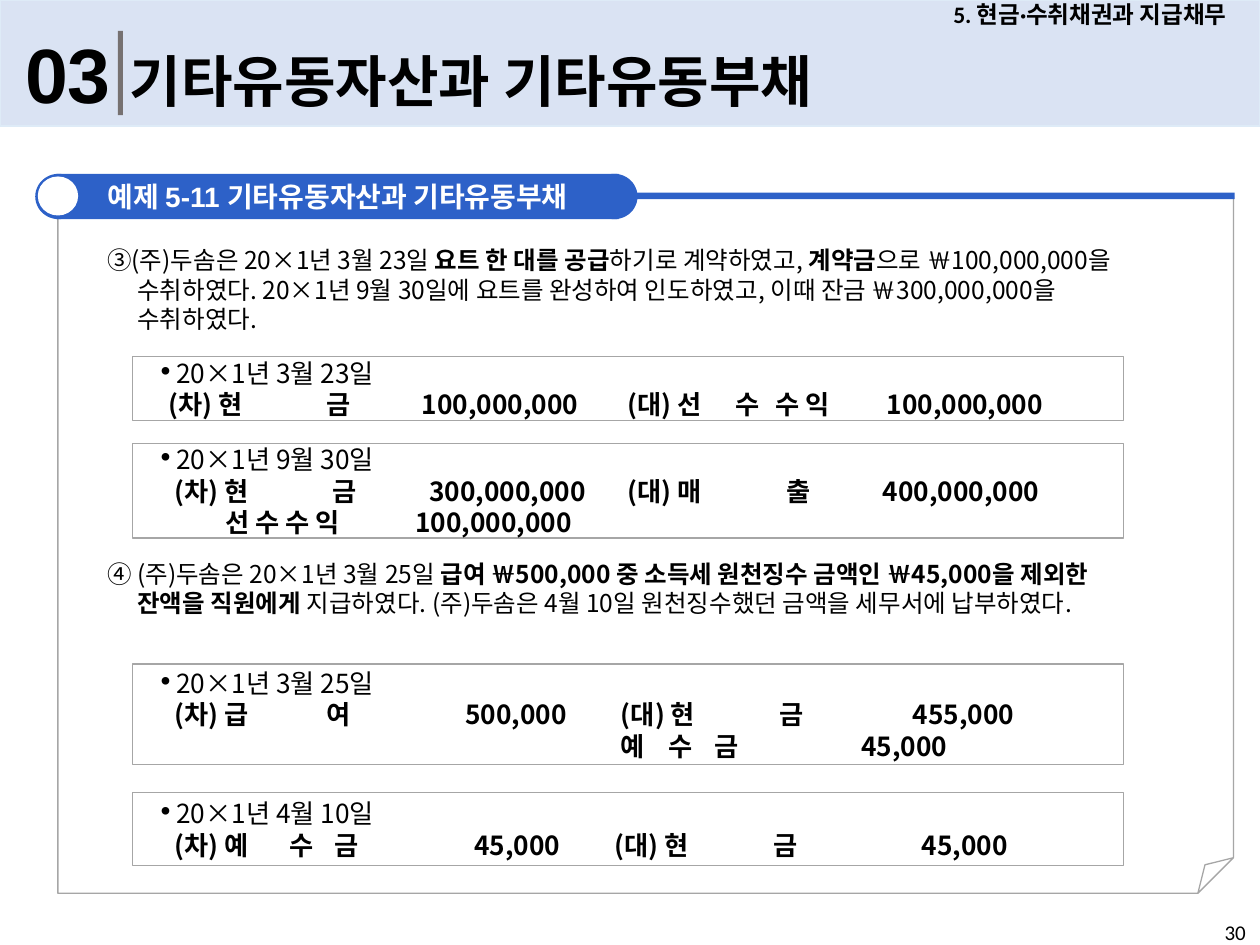
from lxml import etree
from pptx import Presentation
from pptx import util as u
from pptx.dml.color import RGBColor
from pptx.enum import shapes, text
from pptx.oxml.ns import qn

HUES = {"band": "DAE3F3", "edge": "DEEBF7", "bar": "767171", "blue": "2D61C8",
        "line": "A6A6A6", "ink": "000000", "white": "FFFFFF"}
KIND = shapes.MSO_SHAPE
ALIGN = text.PP_ALIGN
MID = text.MSO_ANCHOR.MIDDLE
NOTO = "Noto Sans CJK KR"

deck = Presentation()
deck.slide_width, deck.slide_height = u.Inches(10), u.Inches(7.5)
COL, ROW = deck.slide_width / 100, deck.slide_height / 100
slide = deck.slides.add_slide(deck.slide_layouts[3])
tree = slide.shapes


def draw(kind, x, y, w, h, fill=None, line=None, wide=0.75):
    area = [int(x * COL), int(y * ROW), int(w * COL), int(h * ROW)]
    if kind is None:
        return tree.add_textbox(*area)
    if not isinstance(kind, KIND):
        kind.left, kind.top, kind.width, kind.height = area
        tree._spTree.append(kind._element)
        return kind
    item = tree.add_shape(kind, *area)
    item.shadow.inherit = False
    if fill:
        item.fill.solid()
        item.fill.fore_color.rgb = RGBColor.from_string(HUES[fill])
    else:
        item.fill.background()
    if line:
        item.line.color.rgb = RGBColor.from_string(HUES[line])
        item.line.width = u.Pt(wide)
    else:
        item.line.fill.background()
    return item


def write(item, runs, size=14, face=NOTO, hue="ink", align=ALIGN.LEFT, anchor=text.MSO_ANCHOR.TOP,
          lead=None, hang=None, mark=None, tabs=(), more=False):
    frame = item.text_frame
    frame.word_wrap = True
    frame.auto_size = text.MSO_AUTO_SIZE.NONE
    frame.vertical_anchor = anchor
    para = frame.add_paragraph() if more else frame.paragraphs[0]
    para.alignment = align
    para.space_before = u.Pt(0)
    if lead:
        para.line_spacing = u.Pt(lead)
    props = para._p.get_or_add_pPr()
    if hang:
        props.set("marL", str(int(hang[0] * COL)))
        props.set("indent", str(int(-hang[1] * COL)))
    if mark:
        etree.SubElement(props, qn("a:buChar"), char=mark)
    else:
        etree.SubElement(props, qn("a:buNone"))
    if tabs:
        stops = etree.SubElement(props, qn("a:tabLst"))
        for place, side in tabs:
            etree.SubElement(stops, qn("a:tab"), pos=str(int(place * COL)), algn=side)
    for words, bold, *other in runs:
        run = para.add_run()
        run.text = words
        font = run.font
        font.size, font.bold = u.Pt(size), bold
        font.name = other[0] if other else face
        font.color.rgb = RGBColor.from_string(HUES[hue])
        etree.SubElement(run._r.get_or_add_rPr(), qn("a:ea"), typeface=NOTO)


draw(KIND.RECTANGLE, 0, 0, 100, 13.33, "band", "edge", 1)
write(draw(None, 73, 0, 27, 3.07), [("5. 현금·수취채권과 지급채무", True)],
      size=13.5, face="Calibri", align=ALIGN.CENTER, anchor=MID)
write(draw(None, 1, 2.13, 9.5, 11.2), [("03", True)], size=44, face="Arial")
draw(KIND.RECTANGLE, 9.35, 3.27, 0.4, 8.93, "bar")
write(draw(slide.shapes.title, 9.3, 4.27, 73.2, 8.53), [("기타유동자산과 기타유동부채", True)],
      size=32, face="Calibri")

page = draw(KIND.FOLDED_CORNER, 4.6, 20.8, 93.3, 73.73, None, "line")
geom = page._element.spPr.find(qn("a:prstGeom"))
etree.SubElement(geom.find(qn("a:avLst")), qn("a:gd"), name="adj", fmla="val 5100")
draw(KIND.RECTANGLE, 4.7, 20.4, 93.3, 0.67, "blue")
for x in (2.8, 46.9):
    draw(KIND.OVAL, x, 18.4, 3.7, 4.8, "blue")
write(draw(KIND.RECTANGLE, 4.5, 18.4, 44.6, 4.8, "blue"),
      [("예제 ", True, "Calibri"), ("5-11 기타유동자산과 기타유동부채", True)],
      size=16, face="Arial", hue="white", align=ALIGN.CENTER, anchor=MID)
draw(KIND.OVAL, 3, 18.67, 3.2, 4.13, "white")

tasks = [
    (25.2, 12.53, [
        ("③(주)두솜은 20×1년 3월 23일 ", False), ("요트 한 대를 공급", True),
        ("하기로 계약하였고, ", False), ("계약금", True),
        ("으로 ￦100,000,000을 수취하였다. 20×1년 9월 30일에 요트를 완성하여 인도하였고, "
         "이때 잔금 ￦300,000,000을 수취하였다.", False)]),
    (58.4, 11.6, [
        ("④ (주)두솜은 20×1년 3월 25일 ", False),
        ("급여 ￦500,000 중 소득세 원천징수 금액인 ￦45,000을 제외한 잔액을 직원에게 ", True),
        ("지급하였다. (주)두솜은 4월 10일 원천징수했던 금액을 세무서에 납부하였다.", False)])]
for spot, (y, h, runs) in zip((1, 2), tasks):
    write(draw(slide.placeholders[spot], 7.5, y, 85, h), runs, lead=17, hang=(2.4, 2.4))

L, R = "l", "r"
books = [
    (37.73, 6.8, "20×1년 3월 23일", [
        ("\t(차) 현\t금\t100,000,000\t(대) 선\t수\t수 익\t100,000,000",
         [(1.9, L), (14.4, L), (34.4, R), (38.3, L), (46.9, L), (50.1, L), (71.3, R)])]),
    (46.93, 10, "20×1년 9월 30일", [
        ("\t(차) 현\t금\t300,000,000\t(대) 매\t출\t400,000,000",
         [(2.4, L), (14.9, L), (35, R), (38.3, L), (50.9, L), (71, R)]),
        ("\t선 수 수 익\t100,000,000", [(6.4, L), (33.9, R)])]),
    (70.27, 10.67, "20×1년 3월 25일", [
        ("\t(차) 급\t여\t500,000\t(대) 현\t금\t455,000",
         [(2.4, L), (14.4, L), (33.5, R), (37.8, L), (50.4, L), (69, R)]),
        ("\t예\t수\t금\t45,000", [(37.8, L), (41.6, L), (45.2, L), (63.7, R)])]),
    (83.87, 7.73, "20×1년 4월 10일", [
        ("\t(차) 예\t수\t금\t45,000\t(대) 현\t금\t45,000",
         [(2.4, L), (11.5, L), (15.1, L), (33, R), (37.3, L), (49.9, L), (68.5, R)])])]
for y, h, day, rows in books:
    box = draw(KIND.RECTANGLE, 10.5, y, 78.7, h, "white", "line")
    write(box, [(day, False)], size=15, anchor=MID, lead=18, hang=(2.5, 1.5), mark="∙")
    for words, tabs in rows:
        write(box, [(words, True)], size=15, anchor=MID, lead=18, tabs=tabs, more=True)

write(draw(None, 96.2, 96.67, 3.8, 3.33), [("30", False)], size=12, face="Calibri")
deck.save("out.pptx")
